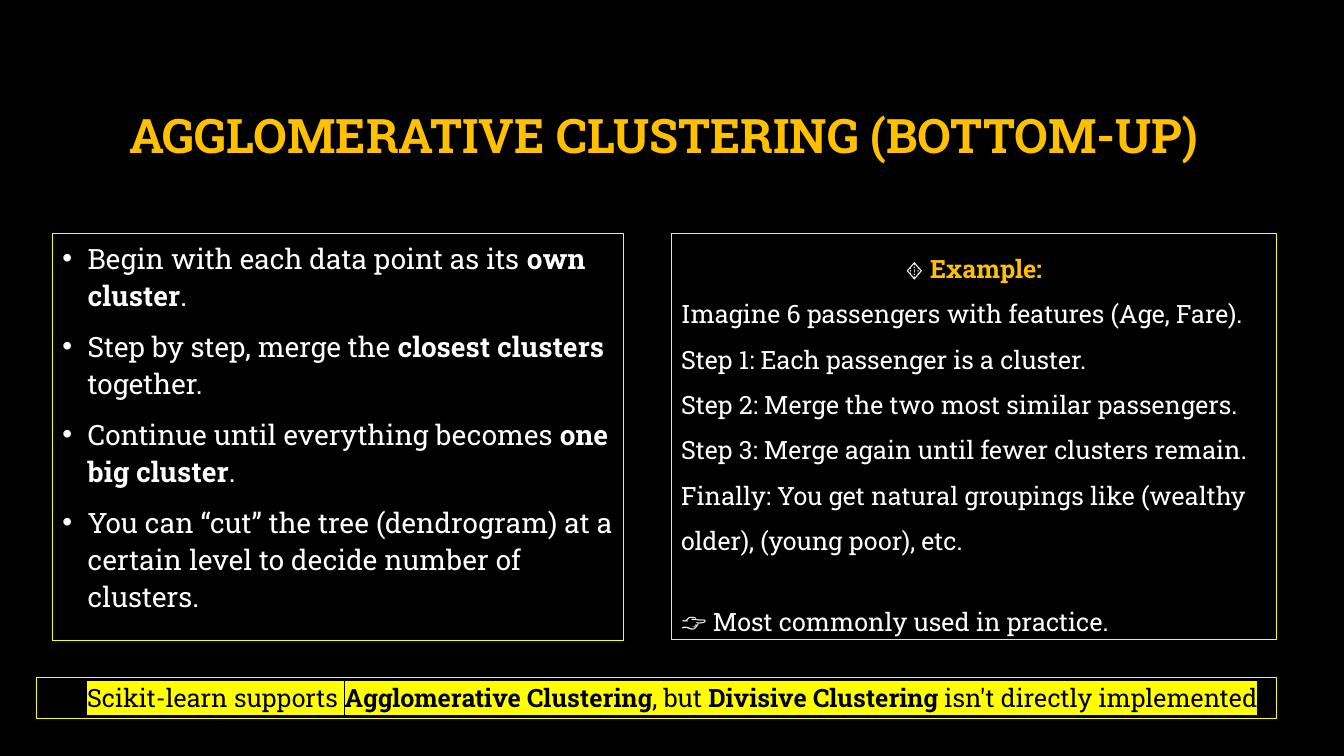
from lxml.etree import SubElement
from pptx import Presentation
from pptx.dml.color import RGBColor
from pptx.enum.shapes import MSO_SHAPE
from pptx.enum.text import MSO_ANCHOR, MSO_AUTO_SIZE, PP_ALIGN
from pptx.oxml import parse_xml
from pptx.oxml.ns import nsdecls, qn
from pptx.util import Pt

AMBER, YELLOW, WHITE, BLACK = "FFC000", "FFFF00", "FFFFFF", "000000"


def paint(color_format, value):
    color_format.rgb = RGBColor.from_string(value)


def write(para, text, size, color, spacing=1.0, align=PP_ALIGN.LEFT):
    para.alignment = align
    para.line_spacing = spacing
    para.space_before = Pt(0)
    for index, part in enumerate(text.split("*")):
        if part:
            span = para.add_run()
            span.text = part
            span.font.name = "Roboto Slab"
            span.font.size = Pt(size)
            span.font.bold = index % 2 == 1
            paint(span.font.color, color)


deck = Presentation()
deck.slide_width, deck.slide_height = Pt(960), Pt(540)
page = deck.slides.add_slide(deck.slide_layouts[1])
page.background.fill.solid()
paint(page.background.fill.fore_color, BLACK)

title, steps = page.placeholders
example = page.shapes.add_shape(MSO_SHAPE.RECTANGLE, 0, 0, 0, 0)
support = page.shapes.add_shape(MSO_SHAPE.RECTANGLE, 0, 0, 0, 0)

places = [
    (title, 37.4, 48.2, 874, 101.5),
    (steps, 37.4, 166.5, 408, 291),
    (example, 479.5, 166.5, 432, 290),
    (support, 26, 484, 886, 29),
]
for box, left, top, width, height in places:
    box.left, box.top, box.width, box.height = Pt(left), Pt(top), Pt(width), Pt(height)
    box.text_frame.word_wrap = True
    box.text_frame.auto_size = MSO_AUTO_SIZE.NONE
    box.text_frame.vertical_anchor = MSO_ANCHOR.TOP

for box in (steps, example, support):
    box.fill.background()
    paint(box.line.color, YELLOW)
    box.line.width = Pt(0.75)
for box in (example, support):
    box.shadow.inherit = False

title.text_frame.vertical_anchor = MSO_ANCHOR.MIDDLE
write(title.text_frame.paragraphs[0], "*AGGLOMERATIVE CLUSTERING (BOTTOM-UP)*",
      34, AMBER, 0.9, PP_ALIGN.CENTER)

step_lines = [
    "Begin with each data point as its *own cluster*.",
    "Step by step, merge the *closest clusters* together.",
    "Continue until everything becomes *one big cluster*.",
    "You can “cut” the tree (dendrogram) at a certain level to decide number of clusters.",
]
for index, line in enumerate(step_lines):
    para = steps.text_frame.add_paragraph() if index else steps.text_frame.paragraphs[0]
    write(para, line, 20, WHITE, 1.1)
    if index:
        para.space_before = Pt(10)
    properties = para._p.get_or_add_pPr()
    properties.set("marL", str(Pt(18)))
    properties.set("indent", str(Pt(-18)))
    SubElement(properties, qn("a:buFont")).set("typeface", "Arial")
    SubElement(properties, qn("a:buChar")).set("char", "•")

example_lines = [
    "🔸 *Example:*",
    "Imagine 6 passengers with features (Age, Fare).",
    "Step 1: Each passenger is a cluster.",
    "Step 2: Merge the two most similar passengers.",
    "Step 3: Merge again until fewer clusters remain.",
    "Finally: You get natural groupings like (wealthy older), (young poor), etc.",
    "👉 Most commonly used in practice.",
]
for index, line in enumerate(example_lines):
    para = example.text_frame.add_paragraph() if index else example.text_frame.paragraphs[0]
    write(para, line, 18, WHITE, 1.5)
heading, closing = example.text_frame.paragraphs[0], para
heading.alignment = PP_ALIGN.CENTER
paint(heading.runs[1].font.color, AMBER)
closing.space_before = Pt(25.2)

para = support.text_frame.paragraphs[0]
write(para, "Scikit-learn supports *Agglomerative Clustering*, but *Divisive Clustering*"
      " isn't directly implemented", 18, BLACK, 1.0, PP_ALIGN.CENTER)
para._p.get_or_add_pPr().set("marL", str(Pt(22.5)))
for span in para.runs:
    highlight = parse_xml(f'<a:highlight {nsdecls("a")}><a:srgbClr val="{YELLOW}"/></a:highlight>')
    span._r.get_or_add_rPr().find(qn("a:solidFill")).addnext(highlight)

deck.save("out.pptx")
